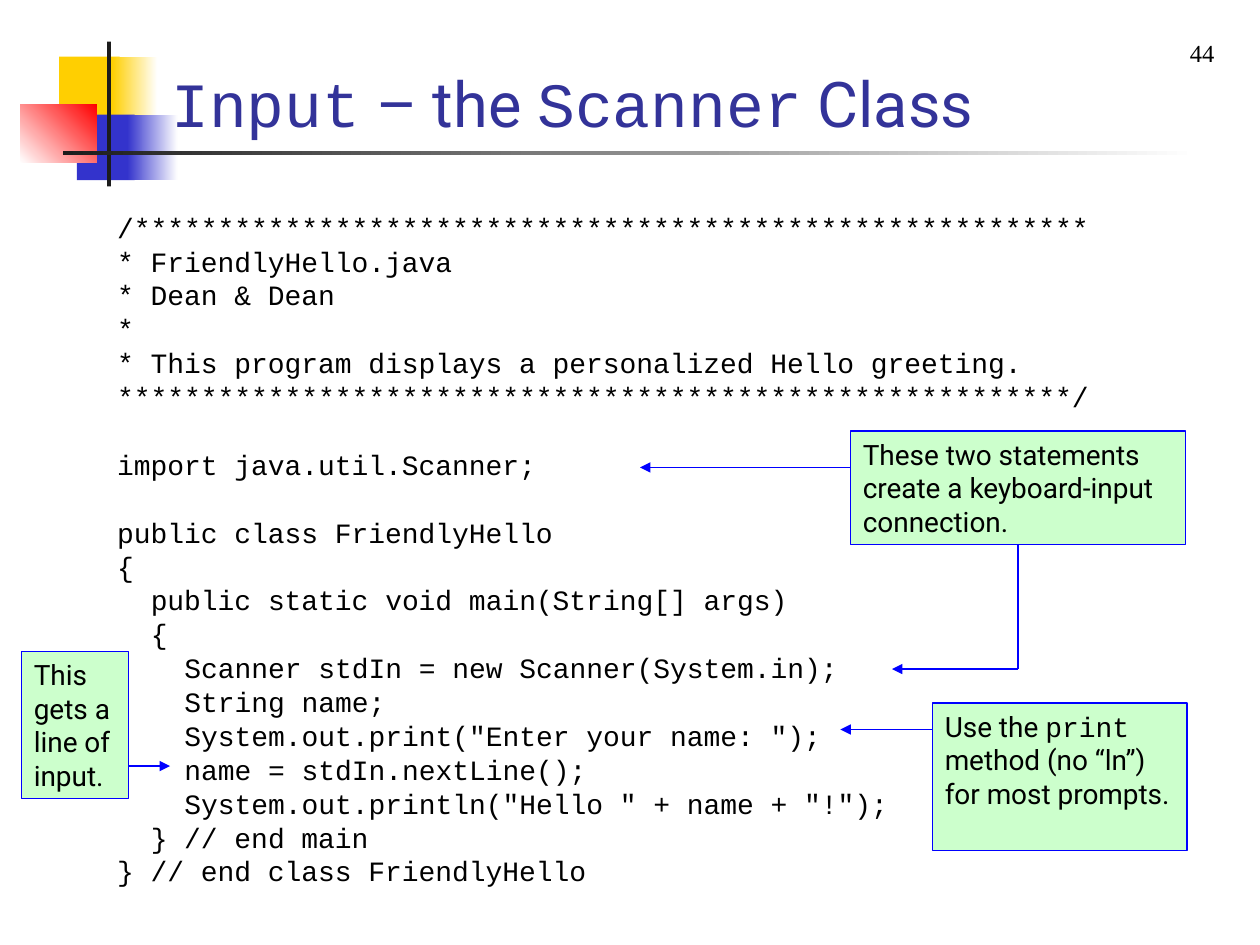
"""Build the slide that introduces the Scanner class for keyboard input."""
from lxml import etree
from pptx import Presentation
from pptx.dml.color import RGBColor
from pptx.enum.shapes import MSO_CONNECTOR, MSO_SHAPE
from pptx.enum.text import MSO_ANCHOR, MSO_AUTO_SIZE, PP_ALIGN
from pptx.oxml.ns import qn
from pptx.util import Inches, Pt

RECTANGLE = MSO_SHAPE.RECTANGLE
STRAIGHT = MSO_CONNECTOR.STRAIGHT
LEFT, CENTER = PP_ALIGN.LEFT, PP_ALIGN.CENTER
TOP, BOTTOM = MSO_ANCHOR.TOP, MSO_ANCHOR.BOTTOM
NO_AUTOFIT = MSO_AUTO_SIZE.NONE

BLACK = RGBColor(0x00, 0x00, 0x00)
WHITE = RGBColor(0xFF, 0xFF, 0xFF)
CHARCOAL = RGBColor(0x1C, 0x1C, 0x1C)
YELLOW = RGBColor(0xFF, 0xCF, 0x01)
INDIGO = RGBColor(0x33, 0x33, 0xCC)
RED = RGBColor(0xFF, 0x00, 0x00)
NAVY = RGBColor(0x33, 0x33, 0x99)
BLUE = RGBColor(0x00, 0x00, 0xFF)
MINT = RGBColor(0xCC, 0xFF, 0xCC)

CODE_FONT, TEXT_FONT, NUMBER_FONT = "Courier New", "Roboto", "Times New Roman"
CODE_SIZE = 16
CHARACTER_WIDTH = 0.6 * CODE_SIZE
LINE_GAP = 4
LINE_PITCH = 19.35

STARS = "*" * 57
CODE = f"""/{STARS}
* FriendlyHello.java
* Dean & Dean
*
* This program displays a personalized Hello greeting.
{STARS}/

import java.util.Scanner;

public class FriendlyHello
{{
  public static void main(String[] args)
  {{
    Scanner stdIn = new Scanner(System.in);
    String name;
    System.out.print("Enter your name: ");
    name = stdIn.nextLine();
    System.out.println("Hello " + name + "!");
  }} // end main
}} // end class FriendlyHello"""

DECORATIONS = [
    ((0.47, 0.45, 0.48, 0.52), (YELLOW,), 0),
    ((0.89, 0.45, 0.36, 0.52), (YELLOW, WHITE), 0),
    ((0.61, 0.91, 0.46, 0.52), (INDIGO,), 0),
    ((1.01, 0.91, 0.4, 0.52), (INDIGO, WHITE), 0),
    ((0.16, 0.83, 0.61, 0.46), (WHITE, RED), 45),
    ((0.85, 0.33, 0.03, 1.15), (CHARCOAL,), 0),
    ((0.5, 1.2, 9, 0.03), (CHARCOAL, WHITE), 0),
]


def place(shape, box):
    """Move and size a shape by left, top, width and height in inches."""
    shape.left, shape.top, shape.width, shape.height = map(Inches, box)


def add_runs(paragraph, runs, size, color):
    """Add (text, font name) runs to a paragraph."""
    for text, font_name in runs:
        run = paragraph.add_run()
        run.text = text
        run.font.name = font_name
        run.font.size = Pt(size)
        run.font.color.rgb = color


def add_decorations(slide):
    """Draw the coloured blocks and rules behind the title."""
    for depth, (box, colors, angle) in enumerate(DECORATIONS):
        shape = slide.shapes.add_shape(RECTANGLE, *map(Inches, box))
        shape.shadow.inherit = False
        shape.line.fill.background()
        if len(colors) == 1:
            shape.fill.solid()
            shape.fill.fore_color.rgb = colors[0]
        else:
            shape.fill.gradient()
            shape.fill.gradient_angle = angle
            for stop, color in zip(shape.fill.gradient_stops, colors):
                stop.color.rgb = color
        slide.shapes._spTree.insert(2 + depth, shape._element)


def fill_title(title):
    """Write the title in alternating code and text fonts."""
    place(title, (1.26, 0.37, 7.66, 0.79))
    frame = title.text_frame
    frame.vertical_anchor = BOTTOM
    frame.auto_size = NO_AUTOFIT
    paragraph = frame.paragraphs[0]
    paragraph.alignment = LEFT
    runs = [("Input", CODE_FONT), (" – the ", TEXT_FONT),
            ("Scanner", CODE_FONT), (" Class", TEXT_FONT)]
    add_runs(paragraph, runs, 36, NAVY)


def fill_code(body):
    """Write the program, turning blank lines and indentation into spacing."""
    place(body, (0.83, 1.67, 8.58, 5.56))
    frame = body.text_frame
    frame.vertical_anchor = TOP
    frame.auto_size = NO_AUTOFIT
    paragraph = frame.paragraphs[0]
    gap = LINE_GAP
    for number, line in enumerate(CODE.splitlines()):
        if not line:
            gap += LINE_PITCH
            continue
        if number:
            paragraph = frame.add_paragraph()
        statement = line.lstrip()
        indent = (len(line) - len(statement)) * CHARACTER_WIDTH
        paragraph.line_spacing = 0.8
        paragraph.space_before = Pt(gap)
        properties = paragraph._p.get_or_add_pPr()
        properties.set("marL", str(Pt(indent)))
        properties.set("indent", "0")
        etree.SubElement(properties, qn("a:buNone"))
        add_runs(paragraph, [(statement, CODE_FONT)], CODE_SIZE, BLACK)
        gap = LINE_GAP


def add_callout(slide, box, runs):
    """Add a green note with a blue outline."""
    shape = slide.shapes.add_shape(RECTANGLE, *map(Inches, box))
    shape.shadow.inherit = False
    shape.fill.solid()
    shape.fill.fore_color.rgb = MINT
    shape.line.color.rgb = BLUE
    shape.line.width = Pt(0.75)
    frame = shape.text_frame
    frame.word_wrap = True
    frame.vertical_anchor = TOP
    paragraph = frame.paragraphs[0]
    paragraph.alignment = LEFT
    paragraph.space_before = Pt(10)
    add_runs(paragraph, runs, 16, BLACK)
    return shape


def add_line(slide, start, end, arrow=True):
    """Add a blue line, with an arrowhead at its end if wanted."""
    connector = slide.shapes.add_connector(STRAIGHT, *map(Inches, start + end))
    connector.line.color.rgb = BLUE
    connector.line.width = Pt(0.75)
    if arrow:
        outline = connector.line._get_or_add_ln()
        etree.SubElement(outline, qn("a:tailEnd"), type="triangle")
    etree.SubElement(connector._element.spPr, qn("a:effectLst"))
    return connector


def add_page_number(slide):
    """Add the page number in the top right corner."""
    box = slide.shapes.add_textbox(*map(Inches, (9.33, 0.25, 0.42, 0.42)))
    frame = box.text_frame
    frame.word_wrap = True
    paragraph = frame.paragraphs[0]
    paragraph.alignment = CENTER
    add_runs(paragraph, [("44", NUMBER_FONT)], 14, BLACK)


def main():
    """Build and save the presentation."""
    presentation = Presentation()
    presentation.slide_width = Inches(10)
    presentation.slide_height = Inches(7.5)
    slide = presentation.slides.add_slide(presentation.slide_layouts[1])
    add_decorations(slide)
    fill_title(slide.shapes.title)
    fill_code(slide.placeholders[1])

    connection_note = add_callout(
        slide, (6.75, 3.42, 2.66, 0.9),
        [("These two statements create a keyboard-input connection.", TEXT_FONT)])
    add_line(slide, (6.75, 3.71), (5.08, 3.71))
    drop = add_line(slide, (8.08, 4.32), (8.08, 5.31), arrow=False)
    drop.begin_connect(connection_note, 2)
    add_line(slide, (8.08, 5.31), (7.08, 5.31))

    add_callout(slide, (7.4, 5.58, 2.02, 1.17),
                [("Use the ", TEXT_FONT), ("print", CODE_FONT),
                 (" method (no “ln”) for most prompts.", TEXT_FONT)])
    add_callout(slide, (0.17, 5.17, 0.85, 1.17),
                [("This gets a line of input.", TEXT_FONT)])
    add_line(slide, (1.02, 6.08), (1.35, 6.08))
    add_line(slide, (7.4, 5.79), (6.67, 5.79))
    add_page_number(slide)
    presentation.save("out.pptx")


if __name__ == "__main__":
    main()
